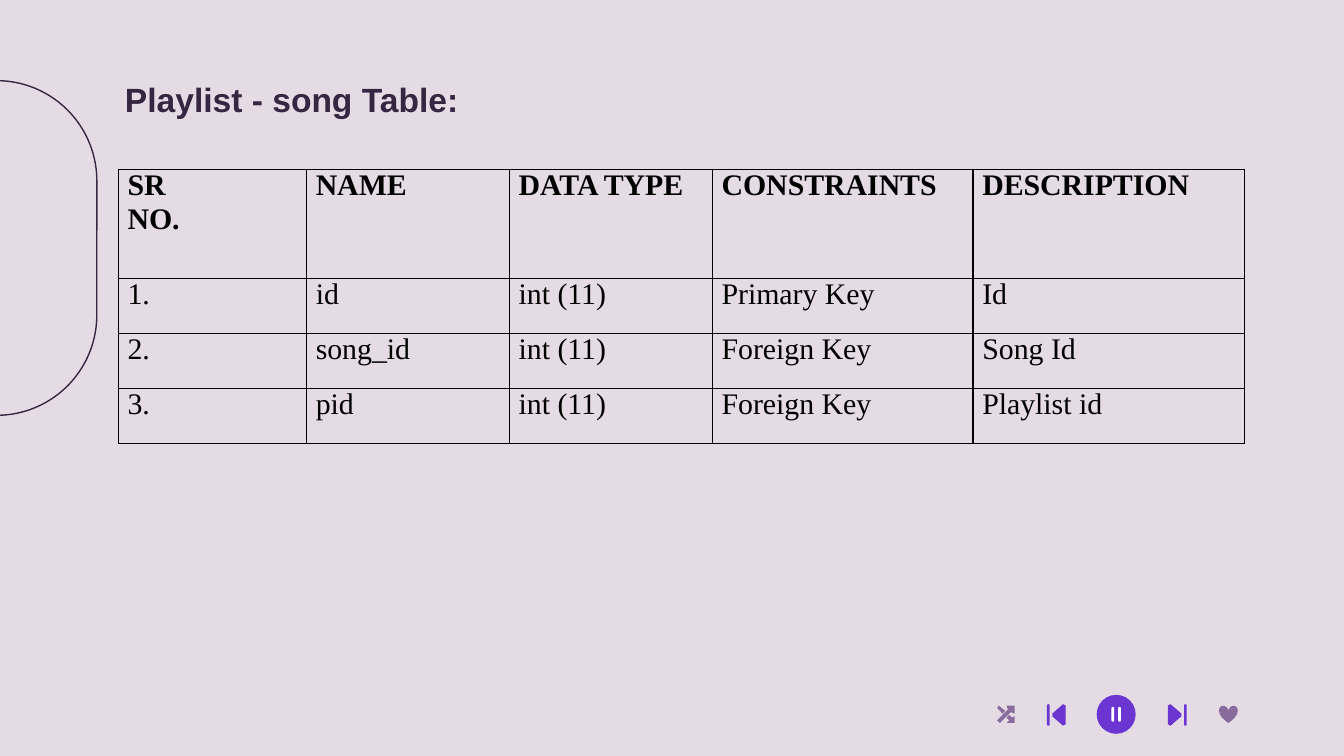
from lxml import etree
from pptx import Presentation
from pptx import util as u
from pptx.dml import color
from pptx.enum import shapes, text
from pptx.oxml import ns

COLORS = {
    "background": "E4DBE5",
    "ink": "362641",
    "violet": "6B35D2",
    "mauve": "896C9B",
    "white": "FFFFFF",
    "black": "000000",
}


def rgb(name):
    return color.RGBColor.from_string(COLORS[name])


class Deck:
    heading_font = "Arial"
    table_font = "Times New Roman"

    def __init__(self, width):
        self.presentation = Presentation()
        self.presentation.slide_width = u.Inches(width)
        self.presentation.slide_height = u.Inches(width * 9 / 16)
        self.slide = None

    def add_slide(self):
        layout = self.presentation.slide_layouts[5]
        self.slide = self.presentation.slides.add_slide(layout)
        background = self.slide.background.fill
        background.solid()
        background.fore_color.rgb = rgb("background")

    def style_font(self, font, name, size, tint, bold):
        font.name = name
        font.size = u.Pt(size)
        font.bold = bold
        font.color.rgb = rgb(tint)

    def title(self, wording, left, top, width, height):
        heading = self.slide.shapes.title
        heading.left, heading.top = u.Inches(left), u.Inches(top)
        heading.width, heading.height = u.Inches(width), u.Inches(height)
        frame = heading.text_frame
        frame.text = wording
        frame.word_wrap = True
        frame.auto_size = text.MSO_AUTO_SIZE.NONE
        frame.vertical_anchor = text.MSO_ANCHOR.TOP
        frame.margin_left = frame.margin_right = u.Inches(0.1)
        frame.margin_top = frame.margin_bottom = u.Inches(0.1)
        paragraph = frame.paragraphs[0]
        paragraph.alignment = text.PP_ALIGN.LEFT
        self.style_font(paragraph.runs[0].font, self.heading_font, 18, "ink", True)

    def paint(self, part, tint):
        part.shadow.inherit = False
        part.fill.solid()
        part.fill.fore_color.rgb = rgb(tint)
        part.line.fill.background()

    def preset(self, kind, left, top, width, height, tint):
        part = self.slide.shapes.add_shape(
            kind, u.Inches(left), u.Inches(top), u.Inches(width), u.Inches(height))
        self.paint(part, tint)
        return part

    def outline(self, contours, tint):
        contours = [[(u.Inches(x), u.Inches(y)) for x, y in contour]
                    for contour in contours]
        builder = self.slide.shapes.build_freeform(*contours[0][0])
        builder.add_line_segments(contours[0][1:], close=True)
        for contour in contours[1:]:
            builder.move_to(*contour[0])
            builder.add_line_segments(contour[1:], close=True)
        self.paint(builder.convert_to_shape(), tint)

    def bar(self, left, top, height, tint):
        rounded = self.preset(shapes.MSO_SHAPE.ROUNDED_RECTANGLE,
                              left, top, 0.02, height, tint)
        rounded.adjustments[0] = 0.5

    def side_frame(self, left, top, width, height):
        frame = self.preset(shapes.MSO_SHAPE.ROUNDED_RECTANGLE,
                            left, top, width, height, "background")
        frame.adjustments[0] = 0.5
        frame.rotation = 90
        frame.fill.background()
        frame.line.color.rgb = rgb("ink")
        frame.line.width = u.Pt(0.75)

    def border(self, cell):
        properties = cell._tc.get_or_add_tcPr()
        for side in ("a:lnL", "a:lnR", "a:lnT", "a:lnB"):
            edge = etree.SubElement(properties, ns.qn(side), w=str(u.Pt(0.75)))
            fill = etree.SubElement(edge, ns.qn("a:solidFill"))
            etree.SubElement(fill, ns.qn("a:srgbClr"), val=COLORS["black"])

    def table(self, rows, left, top, widths, heights):
        grid = self.slide.shapes.add_table(
            len(rows), len(widths), u.Inches(left), u.Inches(top),
            u.Inches(sum(widths)), u.Inches(sum(heights))).table
        grid.first_row = grid.horz_banding = False
        for column, width in zip(grid.columns, widths):
            column.width = u.Inches(width)
        for index, (row, height) in enumerate(zip(rows, heights)):
            grid.rows[index].height = u.Inches(height)
            for cell, wording in zip(grid.rows[index].cells, row):
                cell.text = wording
                cell.margin_left = cell.margin_right = u.Inches(0.07)
                cell.margin_top = cell.margin_bottom = 0
                self.border(cell)
                cell.fill.background()
                for paragraph in cell.text_frame.paragraphs:
                    self.style_font(paragraph.runs[0].font, self.table_font,
                                    16, "black", index == 0)


def add_player(deck):
    middle = 8.31
    deck.preset(shapes.MSO_SHAPE.OVAL, 8.16, 5.17, 0.29, 0.29, "violet")
    for left in (8.27, 8.32):
        deck.bar(left, 5.26, 0.11, "white")

    for direction in (-1, 1):
        base, tip = middle + direction * 0.38, middle + direction * 0.48
        shoulder = base + direction * 0.02
        deck.outline([[(base, 5.25), (shoulder, 5.24), (tip, 5.31),
                       (tip, 5.33), (shoulder, 5.4), (base, 5.39)]], "violet")
        deck.bar(middle + direction * 0.51 - 0.01, 5.24, 0.16, "violet")

    deck.preset(shapes.MSO_SHAPE.HEART, 9.07, 5.25, 0.14, 0.13, "mauve")
    short_stroke = [(7.42, 5.27), (7.43, 5.25), (7.48, 5.29), (7.46, 5.31)]
    rising_arrow = [(7.42, 5.36), (7.5, 5.28), (7.49, 5.25), (7.55, 5.25),
                    (7.55, 5.31), (7.52, 5.3), (7.44, 5.38)]
    falling_arrow = [(7.49, 5.34), (7.51, 5.32), (7.53, 5.34), (7.55, 5.33),
                     (7.55, 5.38), (7.49, 5.38), (7.51, 5.36)]
    deck.outline([short_stroke, rising_arrow, falling_arrow], "mauve")


def main():
    deck = Deck(10)
    deck.add_slide()
    deck.side_frame(-1.27, 1.1, 2.49, 1.49)
    add_player(deck)
    deck.table([
        ["SR\nNO.", "NAME", "DATA TYPE", "CONSTRAINTS", "DESCRIPTION"],
        ["1.", "id", "int (11)", "Primary Key", "Id"],
        ["2.", "song_id", "int (11)", "Foreign Key", "Song Id"],
        ["3.", "pid", "int (11)", "Foreign Key", "Playlist id"],
    ], 0.88, 1.26, [1.4, 1.51, 1.51, 1.94, 2.02], [0.81] + [0.41] * 3)
    deck.title("Playlist - song Table:", 0.83, 0.49, 8.43, 0.63)
    deck.presentation.save("out.pptx")


if __name__ == "__main__":
    main()
